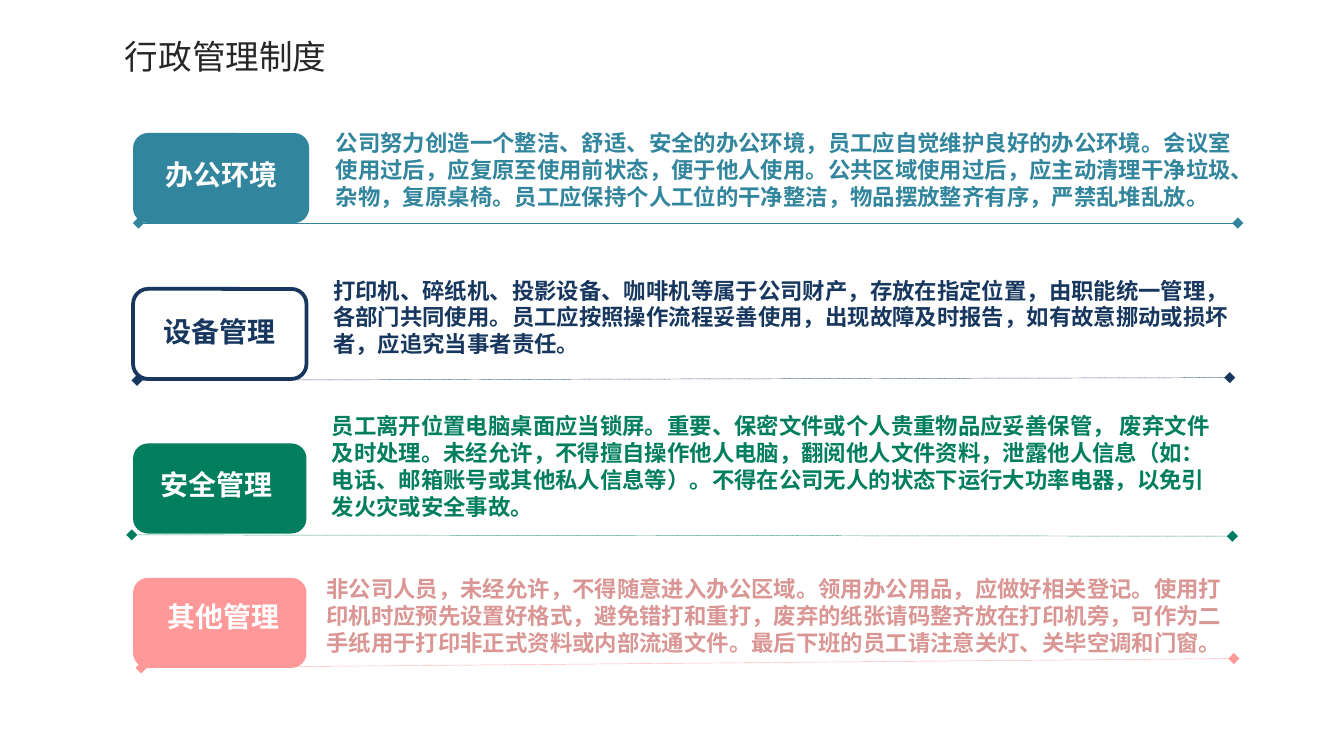
from dataclasses import dataclass

from lxml import etree
from pptx import Presentation
from pptx import util as u
from pptx.dml import color
from pptx.enum import dml, shapes, text
from pptx.oxml import ns

FONT = "Noto Sans CJK SC"
EMU_PER_PX = 9144  # 100 px to the inch
SLIDE_WIDTH = 1000
BOX_HEIGHT = 67
LABEL_HEIGHT = 35


@dataclass(frozen=True)
class Frame:
    left: int
    top: int
    width: int
    height: int


@dataclass(frozen=True)
class Rule:
    start_x: int
    start_y: int
    end_x: int
    end_y: int


@dataclass(frozen=True)
class Policy:
    name: str
    body: str
    accent: str
    body_color: str
    filled: bool
    box: Frame
    label: Frame
    body_frame: Frame
    rule: Rule


POLICIES = [
    Policy(
        "办公环境",
        "公司努力创造一个整洁、舒适、安全的办公环境，员工应自觉维护良好的办公环境。会议室使用过后，"
        "应复原至使用前状态，便于他人使用。公共区域使用过后，应主动清理干净垃圾、杂物，复原桌椅。"
        "员工应保持个人工位的干净整洁，物品摆放整齐有序，严禁乱堆乱放。",
        "31859C", "31859C", True,
        Frame(99, 99, 131, BOX_HEIGHT), Frame(112, 112, 106, LABEL_HEIGHT),
        Frame(240, 91, 691, 71), Rule(103, 166, 921, 166),
    ),
    Policy(
        "设备管理",
        "打印机、碎纸机、投影设备、咖啡机等属于公司财产，存放在指定位置，由职能统一管理，"
        "各部门共同使用。员工应按照操作流程妥善使用，出现故障及时报告，如有故意挪动或损坏者，"
        "应追究当事者责任。",
        "17375E", "17375E", False,
        Frame(99, 215, 129, BOX_HEIGHT), Frame(101, 229, 125, LABEL_HEIGHT),
        Frame(238, 201, 689, 71), Rule(102, 283, 915, 281),
    ),
    Policy(
        "安全管理",
        "员工离开位置电脑桌面应当锁屏。重要、保密文件或个人贵重物品应妥善保管， 废弃文件及时处理。"
        "未经允许，不得擅自操作他人电脑，翻阅他人文件资料，泄露他人信息（如：电话、邮箱账号或其他"
        "私人信息等）。不得在公司无人的状态下运行大功率电器，以免引发火灾或安全事故。",
        "007E5D", "007E5D", True,
        Frame(99, 330, 129, BOX_HEIGHT), Frame(109, 343, 104, LABEL_HEIGHT),
        Frame(237, 302, 683, 91), Rule(98, 398, 917, 399),
    ),
    Policy(
        "其他管理",
        "非公司人员，未经允许，不得随意进入办公区域。领用办公用品，应做好相关登记。使用打印机时应"
        "预先设置好格式，避免错打和重打，废弃的纸张请码整齐放在打印机旁，可作为二手纸用于打印非正式"
        "资料或内部流通文件。最后下班的员工请注意关灯、关毕空调和门窗。",
        "FF9999", "D99694", True,
        Frame(99, 430, 129, BOX_HEIGHT), Frame(114, 441, 104, LABEL_HEIGHT),
        Frame(233, 423, 687, 71), Rule(105, 497, 918, 490),
    ),
]


def px(value: int) -> u.Emu:
    return u.Emu(value * EMU_PER_PX)


def rgb(value: str) -> color.RGBColor:
    return color.RGBColor.from_string(value)


def bounds(frame: Frame) -> tuple:
    return px(frame.left), px(frame.top), px(frame.width), px(frame.height)


def write(shape, content: str, size: int, hex_color: str, bold: bool = True,
          centered: bool = False) -> None:
    frame = shape.text_frame
    frame.word_wrap = True
    frame.auto_size = text.MSO_AUTO_SIZE.NONE
    frame.vertical_anchor = text.MSO_ANCHOR.TOP
    frame.margin_left = frame.margin_right = px(10)
    frame.margin_top = frame.margin_bottom = px(5)
    paragraph = frame.paragraphs[0]
    paragraph.alignment = text.PP_ALIGN.CENTER if centered else text.PP_ALIGN.LEFT
    paragraph.line_spacing = u.Pt(size * 1.2)
    run = paragraph.add_run()
    run.text = content
    run.font.name = FONT
    run.font.size = u.Pt(size)
    run.font.bold = bold
    run.font.color.rgb = rgb(hex_color)
    east_asian = etree.SubElement(run.font._element, ns.qn("a:ea"))
    east_asian.set("typeface", FONT)


def add_box(slide, policy: Policy) -> None:
    box = slide.shapes.add_shape(shapes.MSO_SHAPE.ROUNDED_RECTANGLE, *bounds(policy.box))
    box.shadow.inherit = False
    if policy.filled:
        box.fill.solid()
        box.fill.fore_color.rgb = rgb(policy.accent)
        box.line.fill.background()
    else:
        box.fill.background()
        box.line.color.rgb = rgb(policy.accent)
        box.line.width = u.Pt(2)


def add_rule(slide, rule: Rule, hex_color: str) -> None:
    connector = slide.shapes.add_connector(
        shapes.MSO_CONNECTOR.STRAIGHT,
        px(rule.start_x), px(rule.start_y), px(rule.end_x), px(rule.end_y))
    connector.line.color.rgb = rgb(hex_color)
    connector.line.width = u.Pt(0.25)
    connector.line.dash_style = dml.MSO_LINE.ROUND_DOT
    properties = connector._element.spPr
    outline = properties.find(ns.qn("a:ln"))
    for end in ("a:headEnd", "a:tailEnd"):
        etree.SubElement(outline, ns.qn(end)).set("type", "diamond")
    etree.SubElement(properties, ns.qn("a:effectLst"))


def add_policy(slide, policy: Policy) -> None:
    add_box(slide, policy)
    label = slide.shapes.add_textbox(*bounds(policy.label))
    write(label, policy.name, 15, "FFFFFF" if policy.filled else policy.accent, centered=True)
    body = slide.shapes.add_textbox(*bounds(policy.body_frame))
    write(body, policy.body, 12, policy.body_color)
    add_rule(slide, policy.rule, policy.accent)


def main() -> None:
    presentation = Presentation()
    # Widescreen, 16:9
    presentation.slide_width = px(SLIDE_WIDTH)
    presentation.slide_height = u.Emu(px(SLIDE_WIDTH) * 9 // 16)
    slide = presentation.slides.add_slide(presentation.slide_layouts.get_by_name("Title Only"))

    # Heading
    title = slide.shapes.title
    title.left, title.top, title.width, title.height = bounds(Frame(83, 22, 268, 71))
    write(title, "行政管理制度", 18, "262626", bold=False)

    # One row for each policy
    for policy in POLICIES:
        add_policy(slide, policy)

    presentation.save("out.pptx")


if __name__ == "__main__":
    main()
